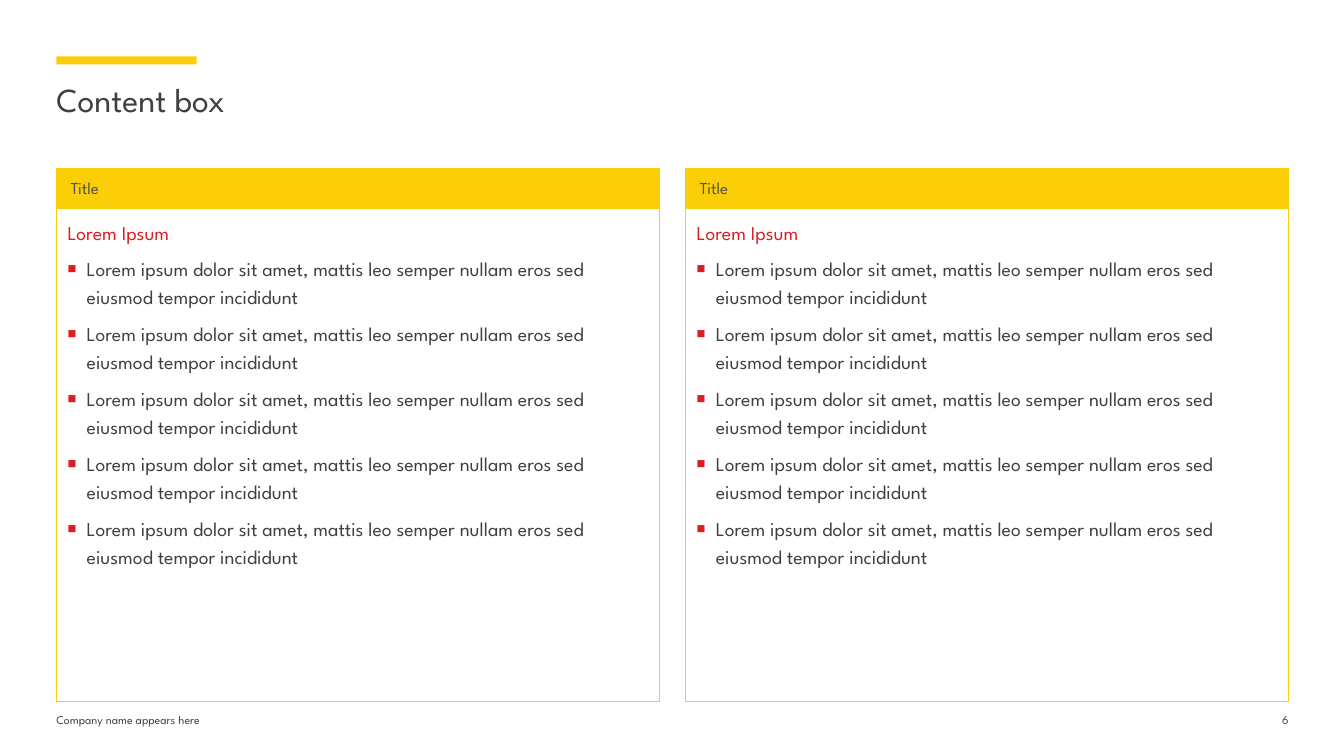
from dataclasses import dataclass
from typing import NamedTuple
from lxml.etree import SubElement
from pptx import Presentation
from pptx.dml.color import RGBColor
from pptx.enum.shapes import MSO_SHAPE
from pptx.enum.text import MSO_ANCHOR, MSO_AUTO_SIZE, PP_ALIGN
from pptx.oxml.ns import qn
from pptx.util import Inches, Pt


@dataclass(frozen=True)
class Theme:
    font: str = "League Spartan"
    gold: str = "FBCE07"
    red: str = "DD1D21"
    ink: str = "404040"
    gray: str = "535353"
    head: float = 24
    body: float = 14
    label: float = 12
    small: float = 8.5


class Box(NamedTuple):
    left: float
    top: float
    width: float
    height: float

    def inches(self):
        return [Inches(side) for side in self]


THEME = Theme()
WIDE, HIGH = 13.33, 7.5
EDGE, GAP, COLS = 0.56, 0.26, 2
SPAN = WIDE - 2 * EDGE + 0.01
ITEM = "Lorem ipsum dolor sit amet, mattis leo semper nullam eros sed eiusmod tempor incididunt"
PANELS = [("Title", "Lorem Ipsum", [ITEM] * 5)] * COLS


def set_frame(shape, insets, anchor=MSO_ANCHOR.TOP):
    frame = shape.text_frame
    frame.word_wrap = True
    frame.auto_size = MSO_AUTO_SIZE.NONE
    frame.vertical_anchor = anchor
    (frame.margin_left, frame.margin_top,
     frame.margin_right, frame.margin_bottom) = [Inches(side) for side in insets]
    return frame


def add_run(para, text, size, color, align=PP_ALIGN.LEFT):
    para.alignment = align
    run = para.add_run()
    run.text = text
    run.font.name = THEME.font
    run.font.size = Pt(size)
    run.font.color.rgb = RGBColor.from_string(color)


def add_rect(slide, box, fill=None, line=None):
    rect = slide.shapes.add_shape(MSO_SHAPE.RECTANGLE, *box.inches())
    rect.shadow.inherit = False
    if fill:
        rect.fill.solid()
        rect.fill.fore_color.rgb = RGBColor.from_string(fill)
    else:
        rect.fill.background()
    if line:
        rect.line.color.rgb = RGBColor.from_string(line)
        rect.line.width = Pt(1)
    else:
        rect.line.fill.background()
    return rect


def add_bullet(para):
    props = para._p.get_or_add_pPr()
    props.set("marL", str(Inches(0.19)))
    props.set("indent", str(-Inches(0.19)))
    color = SubElement(props, qn("a:buClr"))
    SubElement(color, qn("a:srgbClr"), val=THEME.red)
    SubElement(props, qn("a:buSzPct"), val="75000")
    SubElement(props, qn("a:buFont"), typeface="Arial")
    SubElement(props, qn("a:buChar"), char="■")


def draw_head(slide, box, text):
    add_rect(slide, Box(box.left, box.top, 1.39, 0.08), THEME.gold)
    title = slide.shapes.title
    drop = 0.22
    place = Box(box.left, box.top + drop, box.width, box.height - drop)
    title.left, title.top, title.width, title.height = place.inches()
    frame = set_frame(title, (0, 0, 0, 0))
    add_run(frame.paragraphs[0], text, THEME.head, THEME.ink)


def draw_panel(slide, box, label, lead, items):
    bar = 0.39
    head = add_rect(slide, box._replace(height=bar), THEME.gold, THEME.gold)
    frame = set_frame(head, (0.14, 0.05, 0.07, 0.05), MSO_ANCHOR.MIDDLE)
    add_run(frame.paragraphs[0], label, THEME.label, THEME.gray)

    place = box._replace(top=box.top + bar + 0.01, height=box.height - bar - 0.01)
    body = add_rect(slide, place, line=THEME.gold)
    frame = set_frame(body, (0.11, 0.07, 0.11, 0.01))
    for row, text in enumerate([lead, *items]):
        para = frame.add_paragraph() if row else frame.paragraphs[0]
        para.line_spacing = 1.2
        para.space_after = Pt(6)
        if row:
            add_bullet(para)
        add_run(para, text, THEME.body, THEME.ink if row else THEME.red)


def draw_foot(slide, box, name, page):
    small = 0.39
    parts = [
        (box._replace(width=box.width * 0.3), name, PP_ALIGN.LEFT),
        (box._replace(left=box.left + box.width - small, width=small), page, PP_ALIGN.RIGHT),
    ]
    for place, text, align in parts:
        note = slide.shapes.add_textbox(*place.inches())
        frame = set_frame(note, (0, 0, 0, 0.05))
        add_run(frame.paragraphs[0], text, THEME.small, THEME.ink, align)


def main():
    deck = Presentation()
    deck.slide_width, deck.slide_height = Inches(WIDE), Inches(HIGH)
    slide = deck.slides.add_slide(deck.slide_layouts[5])
    draw_head(slide, Box(EDGE, EDGE, SPAN, 1.04), "Content box")
    width = (SPAN - GAP * (COLS - 1)) / COLS
    for col, panel in enumerate(PANELS):
        box = Box(EDGE + col * (width + GAP), 1.67, width, 5.29)
        draw_panel(slide, box, *panel)
    draw_foot(slide, Box(EDGE, 7.07, SPAN, 0.26), "Company name appears here", "6")
    deck.save("out.pptx")


if __name__ == "__main__":
    main()
